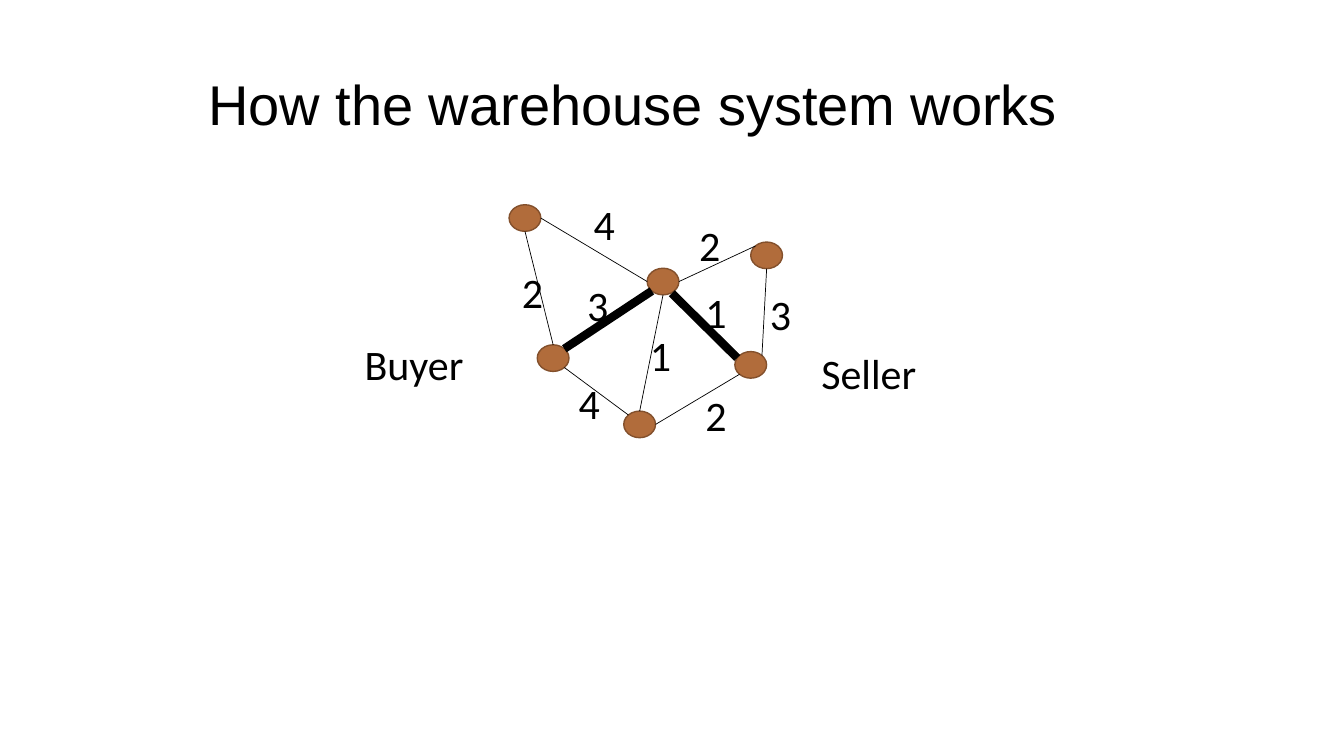
from dataclasses import dataclass
from math import cos, radians, sin

from lxml.etree import SubElement
from pptx import Presentation
from pptx.dml.color import RGBColor
from pptx.enum.shapes import MSO_CONNECTOR, MSO_SHAPE
from pptx.enum.text import MSO_AUTO_SIZE
from pptx.oxml.ns import qn
from pptx.slide import Slide
from pptx.util import Cm, Pt

NODE_WIDTH, NODE_HEIGHT = 0.8, 0.67
LABEL_HEIGHT = 1.54
BLACK = "000000"

# Directions on a node's outline, in degrees clockwise from the right
RIGHT, BOTTOM_RIGHT, BOTTOM, BOTTOM_LEFT = 0, 45, 90, 135
LEFT, TOP_LEFT, TOP, TOP_RIGHT = 180, 225, 270, 315


@dataclass(frozen=True)
class Node:
    left: float
    top: float

    def edge_point(self, angle: int) -> tuple[float, float]:
        return (
            self.left + NODE_WIDTH / 2 * (1 + cos(radians(angle))),
            self.top + NODE_HEIGHT / 2 * (1 + sin(radians(angle))),
        )


@dataclass(frozen=True)
class Route:
    start: Node
    start_angle: int
    end: Node
    end_angle: int
    width: float = 0.5
    shift: float = 0


@dataclass(frozen=True)
class Label:
    text: str
    left: float
    top: float
    width: float = 0.97
    height: float = LABEL_HEIGHT
    size: int = 30
    font: str = "Calibri"
    wrap: bool = False


BUYER = Node(13.54, 8.69)
HUB = Node(16.31, 6.76)
SOUTH = Node(15.72, 10.36)
SELLER = Node(18.52, 8.86)
NORTH_WEST = Node(12.83, 5.16)
NORTH_EAST = Node(18.92, 6.1)
NODES = [BUYER, HUB, SOUTH, SELLER, NORTH_WEST, NORTH_EAST]

ROUTES = [
    Route(NORTH_WEST, BOTTOM, BUYER, TOP),
    Route(NORTH_WEST, RIGHT, HUB, LEFT),
    Route(HUB, RIGHT, NORTH_EAST, TOP_LEFT),
    Route(SOUTH, TOP, HUB, BOTTOM),
    Route(BUYER, BOTTOM_RIGHT, SOUTH, TOP_LEFT),
    Route(BUYER, TOP_RIGHT, HUB, BOTTOM_LEFT),
    Route(HUB, BOTTOM_RIGHT, SELLER, TOP_LEFT),
    Route(SOUTH, RIGHT, SELLER, BOTTOM_LEFT),
    Route(NORTH_EAST, BOTTOM, SELLER, TOP_RIGHT),
]
SHORTEST_ROUTES = [
    Route(BUYER, TOP_RIGHT, HUB, BOTTOM_LEFT, width=6),
    Route(HUB, BOTTOM_RIGHT, SELLER, TOP_LEFT, width=6, shift=0.06),
]

LABELS = [
    Label("4", 14.71, 4.88),
    Label("1", 16.13, 8.18),
    Label("3", 19.15, 7.14),
    Label("1", 17.53, 7.09),
    Label("2", 17.53, 9.7),
    Label("4", 14.33, 9.4),
    Label("2", 12.9, 6.6),
    Label("2", 17.37, 5.41),
    Label("3", 14.55, 6.91),
    Label("Seller", 20.45, 8.64, width=3.71, wrap=True),
    Label("Buyer", 8.94, 8.41, width=3.71, wrap=True),
]
TITLE = Label("How the warehouse system works", 5, 1.63, 25.12, 1.96, 40, "Arial", True)


def color(value: str) -> RGBColor:
    return RGBColor.from_string(value)


def draw_node(slide: Slide, node: Node) -> None:
    shape = slide.shapes.add_shape(
        MSO_SHAPE.OVAL, Cm(node.left), Cm(node.top), Cm(NODE_WIDTH), Cm(NODE_HEIGHT)
    )
    shape.shadow.inherit = False
    shape.fill.solid()
    shape.fill.fore_color.rgb = color("B16C3B")
    shape.line.color.rgb = color("83502C")
    shape.line.width = Pt(1)


def draw_route(slide: Slide, route: Route) -> None:
    """Draw a line between two node outlines, shifted down and to the left."""
    start_x, start_y = route.start.edge_point(route.start_angle)
    end_x, end_y = route.end.edge_point(route.end_angle)
    connector = slide.shapes.add_connector(
        MSO_CONNECTOR.STRAIGHT,
        Cm(start_x - route.shift),
        Cm(start_y + route.shift),
        Cm(end_x - route.shift),
        Cm(end_y + route.shift),
    )
    connector.line.color.rgb = color(BLACK)
    connector.line.width = Pt(route.width)
    SubElement(connector._element.spPr, qn("a:effectLst"))


def draw_label(slide: Slide, label: Label) -> None:
    text_box = slide.shapes.add_textbox(
        Cm(label.left), Cm(label.top), Cm(label.width), Cm(label.height)
    )
    text_frame = text_box.text_frame
    text_frame.text = label.text
    text_frame.word_wrap = label.wrap
    text_frame.auto_size = MSO_AUTO_SIZE.SHAPE_TO_FIT_TEXT
    font = text_frame.paragraphs[0].runs[0].font
    font.name = label.font
    font.size = Pt(label.size)
    font.color.rgb = color(BLACK)


def main() -> None:
    presentation = Presentation()
    presentation.slide_width = Cm(33.87)
    presentation.slide_height = Cm(19.05)
    slide = presentation.slides.add_slide(presentation.slide_layouts[6])

    for node in NODES:
        draw_node(slide, node)
    for route in ROUTES:
        draw_route(slide, route)
    for label in LABELS:
        draw_label(slide, label)
    for route in SHORTEST_ROUTES:
        draw_route(slide, route)
    draw_label(slide, TITLE)

    presentation.save("out.pptx")


if __name__ == "__main__":
    main()
